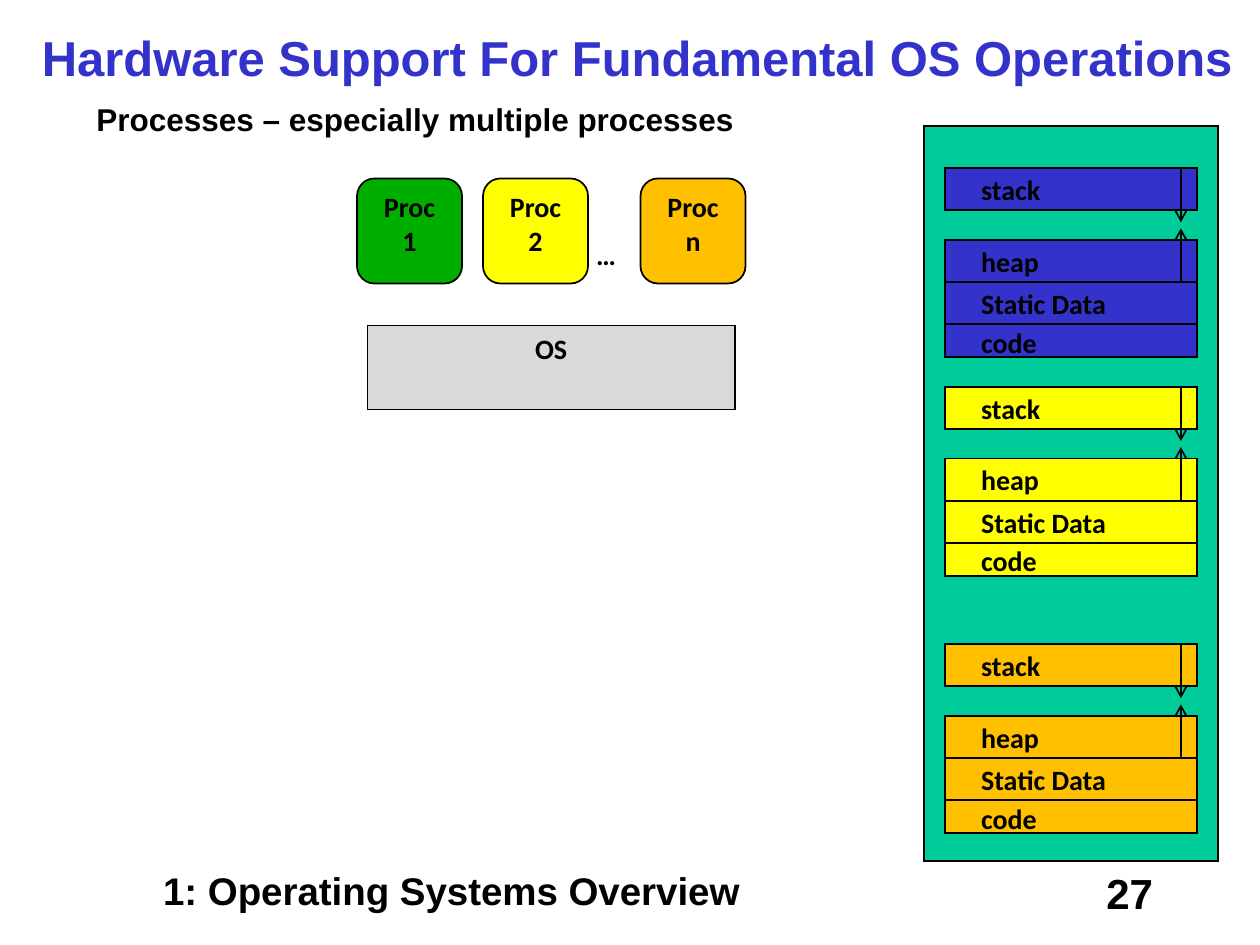
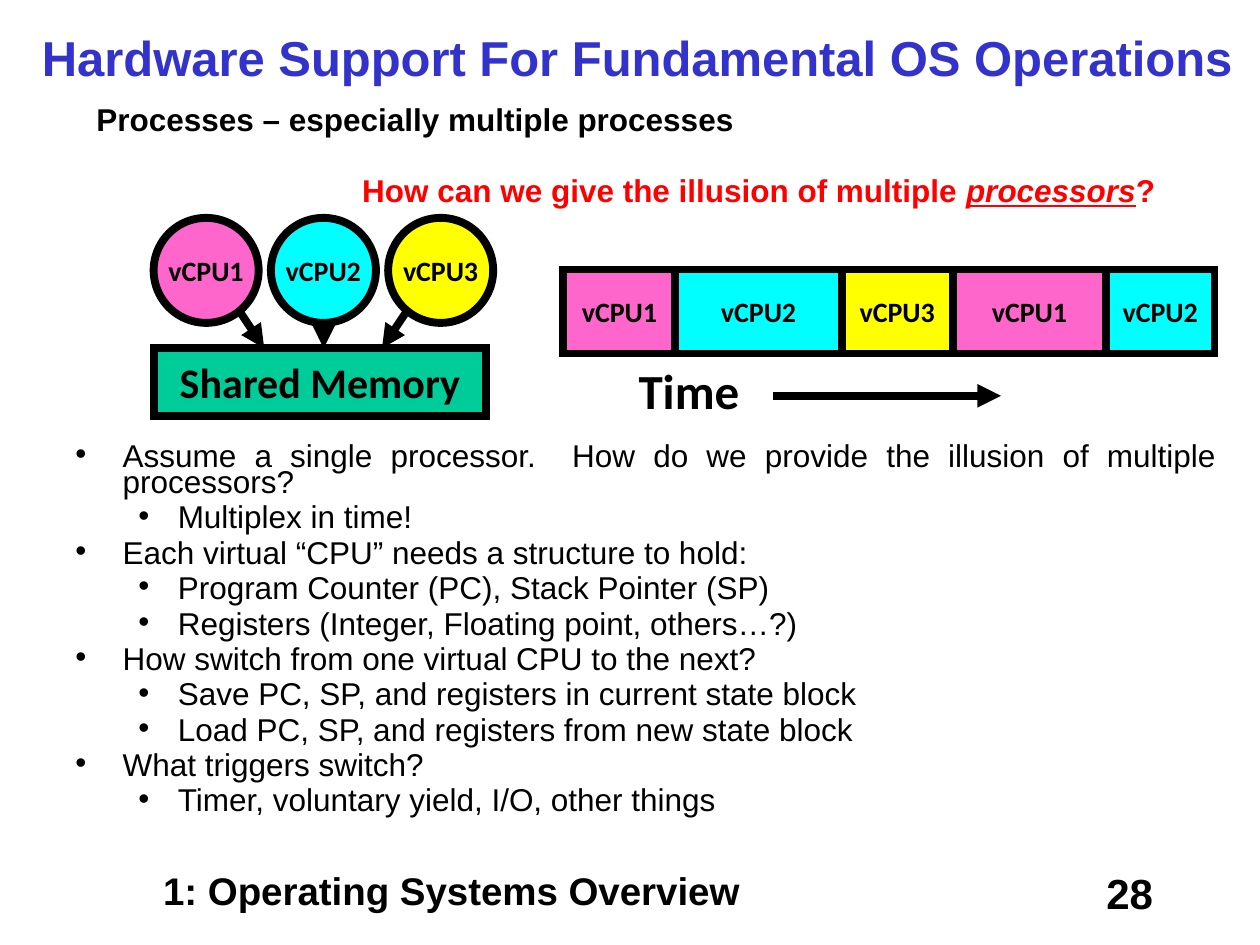
"""Build two slides on how hardware and the OS support multiple processes."""
from lxml import etree
from pptx import Presentation
from pptx import util as u
from pptx.dml.color import RGBColor
from pptx.enum import shapes, text
from pptx.oxml import ns

BLACK, BLUE, RED, GREY = "000000", "3333CC", "FF0000", "D9D9D9"
GREEN, TEAL, YELLOW, ORANGE = "00AE00", "00CC99", "FFFF00", "FFC000"
PINK, CYAN = "FF66CC", "00FFFF"

TITLE = "Hardware Support For Fundamental OS Operations"
TOPIC = "Processes – especially multiple processes"
FOOTER = "1: Operating Systems Overview"
QUESTION = [
    ("How can we give the illusion of multiple ", {}),
    ("processors", {"italic": True, "underline": True}),
    ("?", {}),
]

PROCESSES = [("Proc 1", GREEN, 204), ("Proc 2", YELLOW, 276), ("Proc n", ORANGE, 366)]
ADDRESS_SPACES = [(BLUE, 96), (YELLOW, 221), (ORANGE, 368)]
SEGMENTS = [
    ("code", 89.3, 18.7, -3, 49.7),
    ("Static Data", 65.3, 24, -1, 93.6),
    ("heap", 41, 24, -1, 50.4),
    ("stack", 0, 24, -1, 52.6),
]
GROWTH = [(0, 31), (65.3, 34.5)]

CPU_COLOURS = {"vCPU1": PINK, "vCPU2": CYAN, "vCPU3": YELLOW}
TIME_SLICES = [("vCPU1", 64), ("vCPU2", 95), ("vCPU3", 63.5), ("vCPU1", 87.5), ("vCPU2", 62)]
MEMORY_LINKS = [(136, 176.5, 151, 199), (233.3, 176.5, 218.3, 199), (185, 184.5, 185, 199)]
POINTS = [
    ("Assume a single processor.  How do we provide the illusion of multiple processors?",
     ["Multiplex in time!"]),
    ("Each virtual “CPU” needs a structure to hold:",
     ["Program Counter (PC), Stack Pointer (SP)",
      "Registers (Integer, Floating point, others…?)"]),
    ("How switch from one virtual CPU to the next?",
     ["Save PC, SP, and registers in current state block",
      "Load PC, SP, and registers from new state block"]),
    ("What triggers switch?", ["Timer, voluntary yield, I/O, other things"]),
]

LEFT, CENTER, RIGHT, JUSTIFY = (
    text.PP_ALIGN.LEFT, text.PP_ALIGN.CENTER, text.PP_ALIGN.RIGHT, text.PP_ALIGN.JUSTIFY)
TOP, MIDDLE = text.MSO_ANCHOR.TOP, text.MSO_ANCHOR.MIDDLE
RECT, ROUND, OVAL = (
    shapes.MSO_SHAPE.RECTANGLE, shapes.MSO_SHAPE.ROUNDED_RECTANGLE, shapes.MSO_SHAPE.OVAL)
LABEL = {"size": 16, "font": "Calibri"}
THICK = 4.5


def colour(value):
    """Turn a hex string into a colour."""
    return RGBColor.from_string(value)


def points(*values):
    """Turn numbers into lengths in points."""
    return [u.Pt(value) for value in values]


def add_xml(parent, tag, **attributes):
    """Append a drawing element to a parent."""
    return etree.SubElement(parent, ns.qn(tag), attributes)


def set_all(target, values):
    """Set attributes from a dict."""
    for name, value in values.items():
        setattr(target, name, value)


def write(para, spans, size=18, font="Arial", ink=BLACK, bold=True, align=LEFT):
    """Write a string or a list of formatted spans into a paragraph."""
    para.alignment = align
    for words, extra in [(spans, {})] if isinstance(spans, str) else spans:
        span = para.add_run()
        span.text = words
        set_all(span.font, {"name": font, "size": u.Pt(size), "bold": bold, **extra})
        span.font.color.rgb = colour(ink)


def add_text(parent, place, words, wrap=False, anchor=TOP, **style):
    """Add a text box, fitted to its text unless it wraps."""
    box = parent.add_textbox(*points(*place))
    fit = text.MSO_AUTO_SIZE.NONE if wrap else text.MSO_AUTO_SIZE.SHAPE_TO_FIT_TEXT
    set_all(box.text_frame, {"word_wrap": wrap, "auto_size": fit, "vertical_anchor": anchor})
    write(box.text_frame.paragraphs[0], words, **style)
    return box


def add_block(parent, kind, place, fill, words="", weight=1, wrap=False, anchor=MIDDLE, size=16):
    """Add a filled shape with a black outline and an optional centred label."""
    block = parent.add_shape(kind, *points(*place))
    block.shadow.inherit = False
    block.fill.solid()
    block.fill.fore_color.rgb = colour(fill)
    block.line.color.rgb = colour(BLACK)
    block.line.width = u.Pt(weight)
    add_xml(block.line._get_or_add_ln(), "a:miter", lim="800000")
    if words:
        set_all(block.text_frame, {"word_wrap": wrap, "vertical_anchor": anchor})
        write(block.text_frame.paragraphs[0], words, size=size, font="Calibri", align=CENTER)


def add_arrow(parent, ends, head="triangle", weight=THICK):
    """Add a straight black arrow."""
    arrow = parent.add_connector(shapes.MSO_CONNECTOR.STRAIGHT, *points(*ends))
    arrow.line.color.rgb = colour(BLACK)
    arrow.line.width = u.Pt(weight)
    add_xml(arrow.line._get_or_add_ln(), "a:tailEnd", type=head)
    add_xml(arrow._element.spPr, "a:effectLst")


def add_page(deck, number):
    """Add a slide with the shared title, topic and footer, and return its shapes."""
    page = deck.slides.add_slide(deck.slide_layouts[6]).shapes
    add_text(page, (12, 492, 492, 36), FOOTER, wrap=True, size=22, align=CENTER)
    add_text(page, (516, 492, 150, 36), str(number), wrap=True, size=24, align=RIGHT)
    add_text(page, (16.8, 12, 703.2, 41.2), TITLE, size=28, ink=BLUE)
    add_text(page, (48, 53.4, 382.3, 29), TOPIC)
    return page


def add_address_space(page, fill, top):
    """Add one process image: its segments and the growth of stack and heap."""
    group = page.add_group_shape().shapes
    for name, offset, height, shift, width in SEGMENTS:
        add_block(group, RECT, (540, top + offset, 144, height), fill)
        add_text(group, (553.6, top + offset + shift, width, 26.6), name, **LABEL)
    for start, end in GROWTH:
        add_arrow(group, (674.8, top + start, 674.8, top + end), "arrow", 1)


def build_memory_page(deck):
    """Show processes above the OS, and their images in memory."""
    page = add_page(deck, 27)
    add_block(page, RECT, (210, 186, 210, 48), GREY, "OS", wrap=True, anchor=TOP)
    for name, fill, left in PROCESSES:
        add_block(page, ROUND, (left, 102, 60, 60), fill, name, wrap=True, anchor=TOP)
    add_text(page, (333.5, 132, 32.4, 26.6), "…", **LABEL)
    add_block(page, RECT, (528, 72, 168, 420), TEAL)
    for fill, top in ADDRESS_SPACES:
        add_address_space(page, fill, top)


def add_points(page):
    """Add the two-level bullet list."""
    box = page.add_textbox(*points(36, 251.3, 666, 244.8))
    box.text_frame.word_wrap = True
    lines = [line for head, details in POINTS
             for line in [(head, 0), *((detail, 1) for detail in details)]]
    for index, (words, level) in enumerate(lines):
        para = box.text_frame.add_paragraph() if index else box.text_frame.paragraphs[0]
        set_all(para, {"level": level, "line_spacing": 0.7, "space_before": u.Pt(5.1)})
        write(para, words, bold=False, align=LEFT if level else JUSTIFY)
        margin, hanging = points(*((58.5, -22.5) if level else (27, -27)))
        props = para._p.get_or_add_pPr()
        props.set("marL", str(margin))
        props.set("indent", str(hanging))
        add_xml(props, "a:buFont", typeface="Arial")
        add_xml(props, "a:buChar", char="•")


def build_time_page(deck):
    """Show virtual CPUs sharing memory and taking turns in time."""
    page = add_page(deck, 28)
    add_text(page, (171.4, 87.8, 524.2, 41.8), QUESTION, wrap=True, anchor=MIDDLE,
             ink=RED, align=CENTER)
    for index, (name, fill) in enumerate(CPU_COLOURS.items()):
        add_block(page, OVAL, (87.8 + 67 * index, 124.5, 60, 60), fill, name, THICK)
    add_block(page, RECT, (87.8, 198.7, 190, 39), TEAL, "Shared Memory", THICK, size=24)
    for ends in MEMORY_LINKS:
        add_arrow(page, ends)
    add_points(page)
    schedule = page.add_group_shape().shapes
    left = 322
    for name, width in TIME_SLICES:
        add_block(schedule, RECT, (left, 154, width, 48), CPU_COLOURS[name], name, THICK)
        left += width
    add_text(page, (357.8, 202.3, 87.8, 41.2), "Time", size=28, font="Calibri")
    add_arrow(page, (442, 226.2, 572, 226.2))


def main():
    """Build and save the deck."""
    deck = Presentation()
    set_all(deck, {"slide_width": u.Pt(720), "slide_height": u.Pt(540)})
    build_memory_page(deck)
    build_time_page(deck)
    deck.save("out.pptx")


if __name__ == "__main__":
    main()
